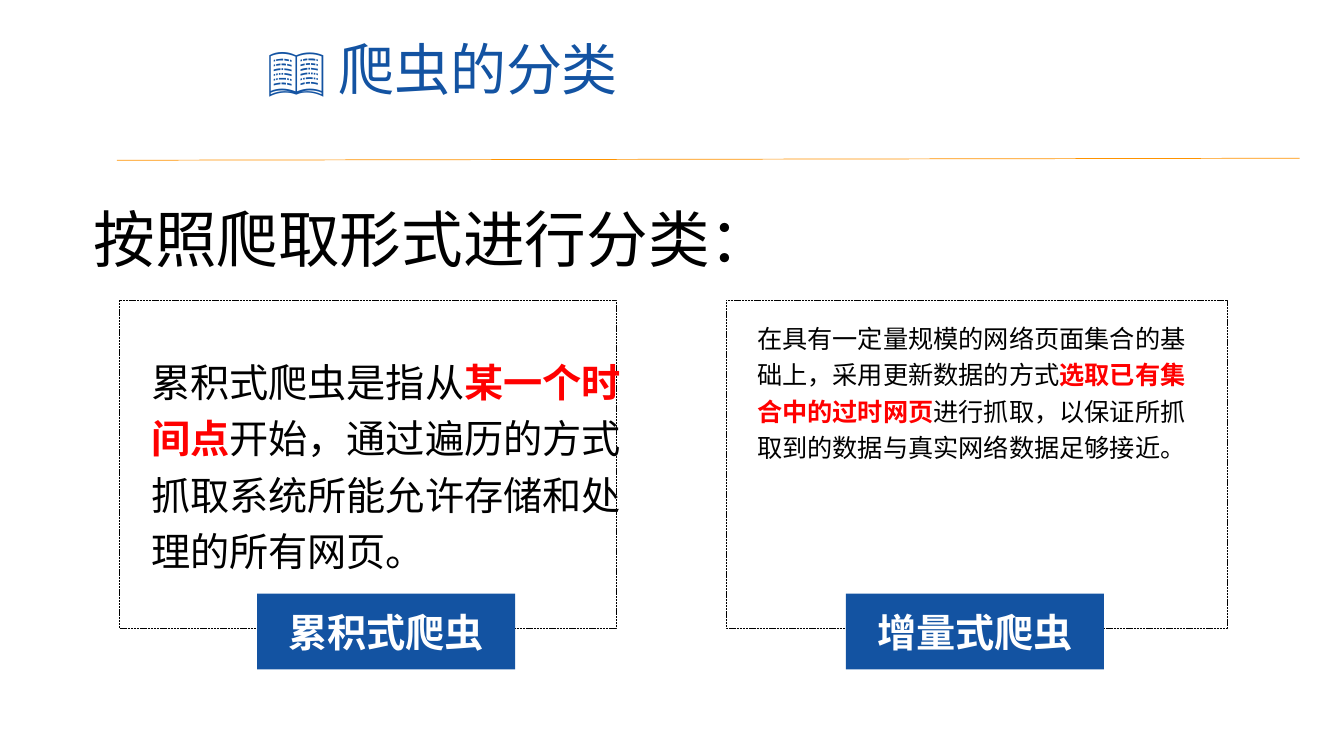
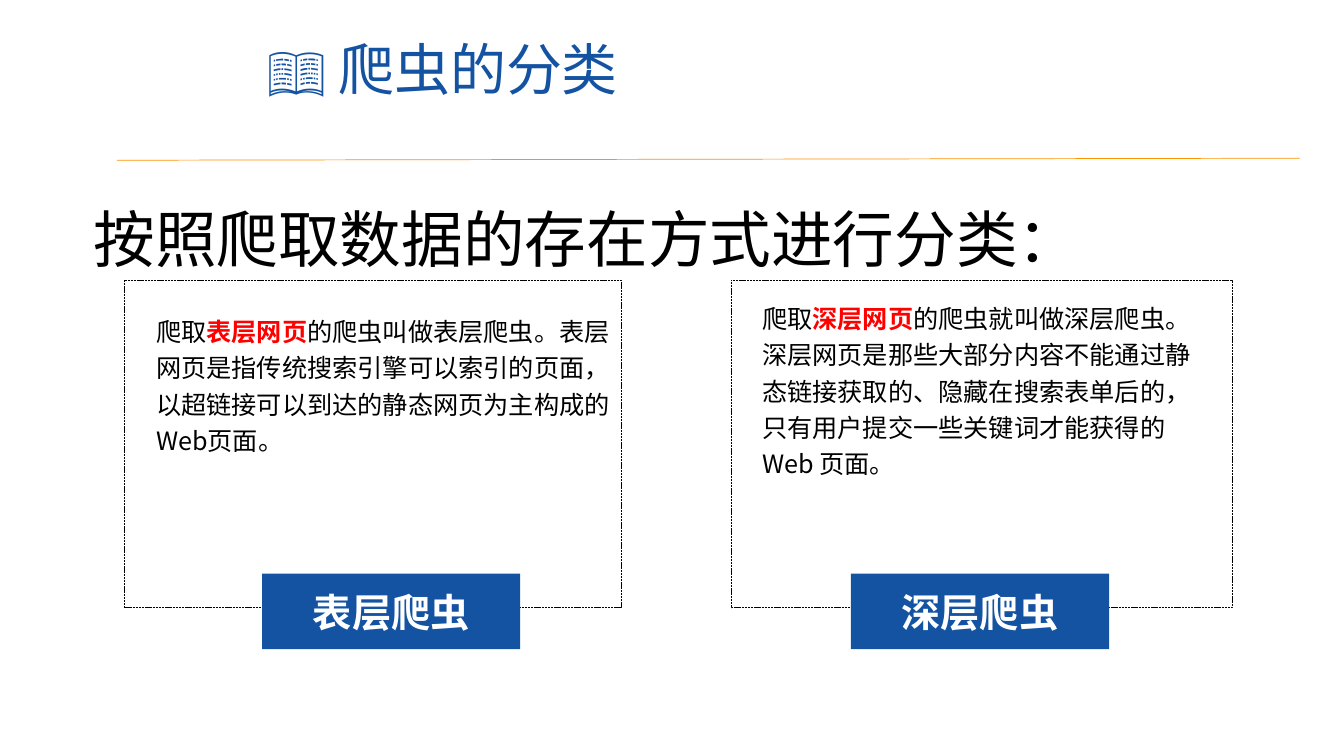
"""Builds two slides that classify web crawlers, each with a pair of labelled panels."""
import pptx
import pptx.dml.color
import pptx.enum.dml
import pptx.enum.shapes
import pptx.enum.text
import pptx.oxml
import pptx.oxml.ns
import pptx.util
import lxml.etree

PX = 9144
FONT = "Noto Sans CJK SC"
BLUE, ORANGE, RED, BLACK, WHITE = "1353A2", "FF9300", "FF0000", "000000", "FFFFFF"
TITLE = "📖 爬虫的分类"
PANEL_HEIGHT = 325
LABEL_WIDTH, LABEL_HEIGHT, LABEL_DROP = 256, 75, 291

SLIDES = [
    {
        "heading": "按照爬取形式进行分类：",
        "origin": (118, 298),
        "panels": [
            {
                "label": "累积式爬虫", "size": 28, "text_top": 43,
                "runs": ["累积式爬虫是指从", "某一个时间点",
                         "开始，通过遍历的方式抓取系统所能允许存储和处理的所有网页。"],
            },
            {
                "label": "增量式爬虫", "size": 18, "text_top": 12,
                "runs": ["在具有一定量规模的网络页面集合的基础上，采用更新数据的方式",
                         "选取已有集合中的过时网页",
                         "进行抓取，以保证所抓取到的数据与真实网络数据足够接近。"],
            },
        ],
    },
    {
        "heading": "按照爬取数据的存在方式进行分类：",
        "origin": (123, 278),
        "panels": [
            {
                "label": "表层爬虫", "size": 18, "text_top": 25,
                "runs": ["爬取", "表层网页",
                         "的爬虫叫做表层爬虫。表层网页是指传统搜索引擎可以索引的页面，"
                         "以超链接可以到达的静态网页为主构成的Web页面。"],
            },
            {
                "label": "深层爬虫", "size": 18, "text_top": 12,
                "runs": ["爬取", "深层网页",
                         "的爬虫就叫做深层爬虫。深层网页是那些大部分内容不能通过静态链接获取的、"
                         "隐藏在搜索表单后的，只有用户提交一些关键词才能获得的 Web 页面。"],
            },
        ],
    },
]

COLUMNS = [
    {"left": 0, "width": 493, "label_left": 137, "text_left": 22, "text_width": 486},
    {"left": 602, "width": 497, "label_left": 721, "text_left": 623, "text_width": 455},
]


def rgb(value):
    return pptx.dml.color.RGBColor.from_string(value)


def write(shape, runs, size, color=BLACK, bold=False, align="LEFT", anchor="TOP", spacing=1.0):
    """Fill a shape with one paragraph; every second run is emphasised in red."""
    frame = shape.text_frame
    frame.word_wrap = True
    frame.auto_size = pptx.enum.text.MSO_AUTO_SIZE.NONE
    frame.vertical_anchor = getattr(pptx.enum.text.MSO_ANCHOR, anchor)
    paragraph = frame.paragraphs[0]
    paragraph.alignment = getattr(pptx.enum.text.PP_ALIGN, align)
    paragraph.line_spacing = spacing
    for index, text in enumerate(runs):
        emphasised = index % 2 == 1
        run = paragraph.add_run()
        run.text = text
        run.font.size = pptx.util.Pt(size)
        run.font.bold = bold or emphasised
        run.font.color.rgb = rgb(RED if emphasised else color)
        run.font.name = FONT
        east_asian = lxml.etree.SubElement(run.font._element, pptx.oxml.ns.qn("a:ea"))
        east_asian.set("typeface", FONT)


presentation = pptx.Presentation()
presentation.slide_width = 1333 * PX
presentation.slide_height = 750 * PX
layout = presentation.slide_layouts[5]
layout_title = layout.placeholders[0]
layout_title.left, layout_title.top = 255 * PX, 29 * PX
layout_title.width, layout_title.height = 563 * PX, 77 * PX
rectangle = pptx.enum.shapes.MSO_SHAPE.RECTANGLE

for content in SLIDES:
    slide = presentation.slides.add_slide(layout)
    shapes = slide.shapes
    write(shapes.title, [TITLE], 40, color=BLUE)

    rule = shapes.add_connector(
        pptx.enum.shapes.MSO_CONNECTOR.STRAIGHT, 116 * PX, 159 * PX, 1289 * PX, 157 * PX)
    rule.line.color.rgb = rgb(ORANGE)
    rule.line.width = pptx.util.Pt(0.5)
    lxml.etree.SubElement(rule._element.spPr, pptx.oxml.ns.qn("a:effectLst"))

    heading = shapes.add_textbox(83 * PX, 194 * PX, 1187 * PX, 84 * PX)
    write(heading, [content["heading"]], 44)

    left, top = content["origin"]
    for column, panel in zip(COLUMNS, content["panels"]):
        frame_box = shapes.add_shape(
            rectangle, (left + column["left"]) * PX, top * PX,
            column["width"] * PX, PANEL_HEIGHT * PX)
        frame_box.shadow.inherit = False
        frame_box.fill.background()
        frame_box.line.color.rgb = rgb(BLACK)
        frame_box.line.width = pptx.util.Pt(0.5)
        frame_box.line.dash_style = pptx.enum.dml.MSO_LINE.SQUARE_DOT

        label = shapes.add_shape(
            rectangle, (left + column["label_left"]) * PX, (top + LABEL_DROP) * PX,
            LABEL_WIDTH * PX, LABEL_HEIGHT * PX)
        label.shadow.inherit = False
        label.fill.solid()
        label.fill.fore_color.rgb = rgb(BLUE)
        label.line.fill.background()
        write(label, [panel["label"]], 28, color=WHITE, bold=True,
              align="CENTER", anchor="MIDDLE")

        description = shapes.add_textbox(
            (left + column["text_left"]) * PX, (top + panel["text_top"]) * PX,
            column["text_width"] * PX, (LABEL_DROP - panel["text_top"]) * PX)
        write(description, panel["runs"], panel["size"], spacing=1.2)

presentation.save("out.pptx")
